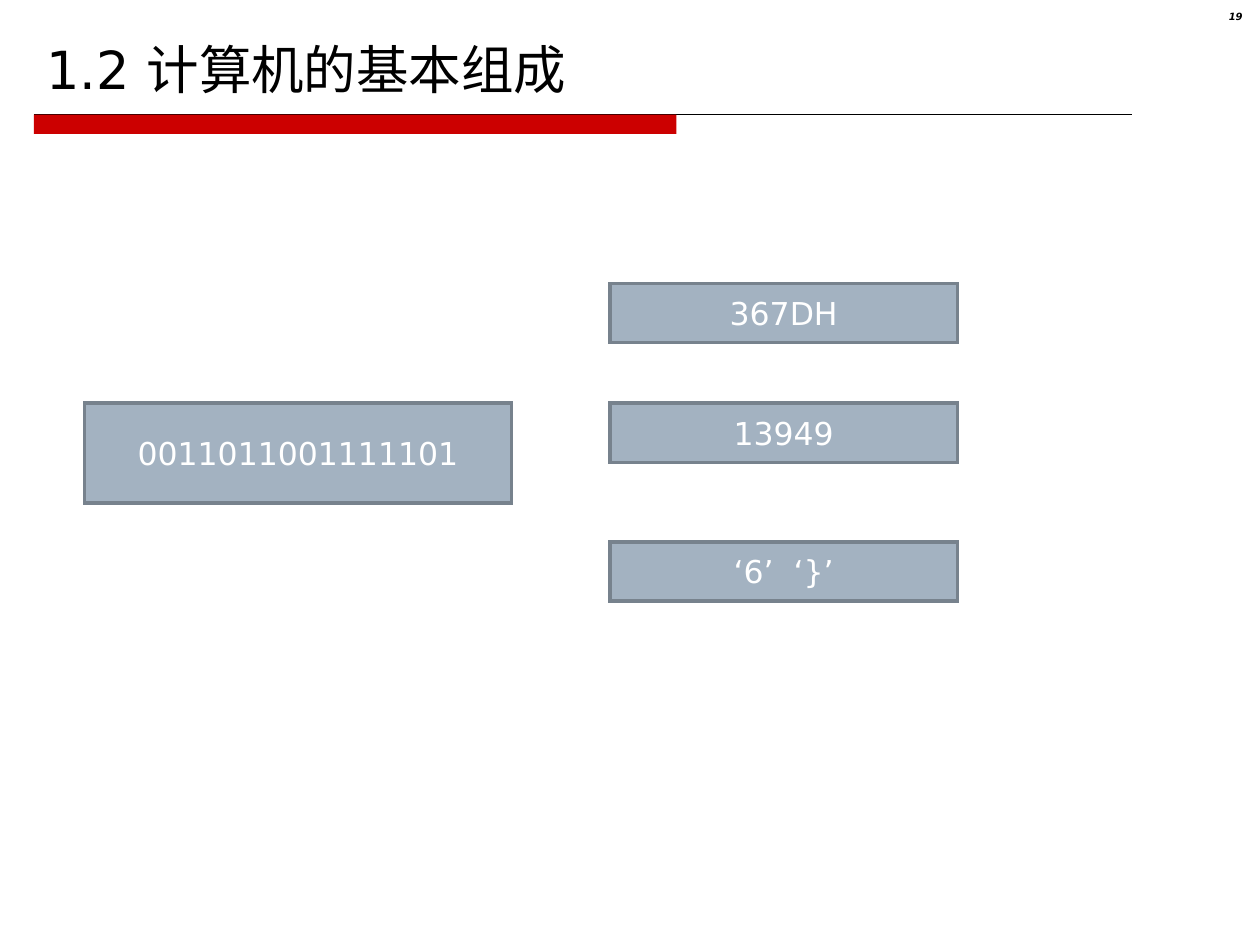
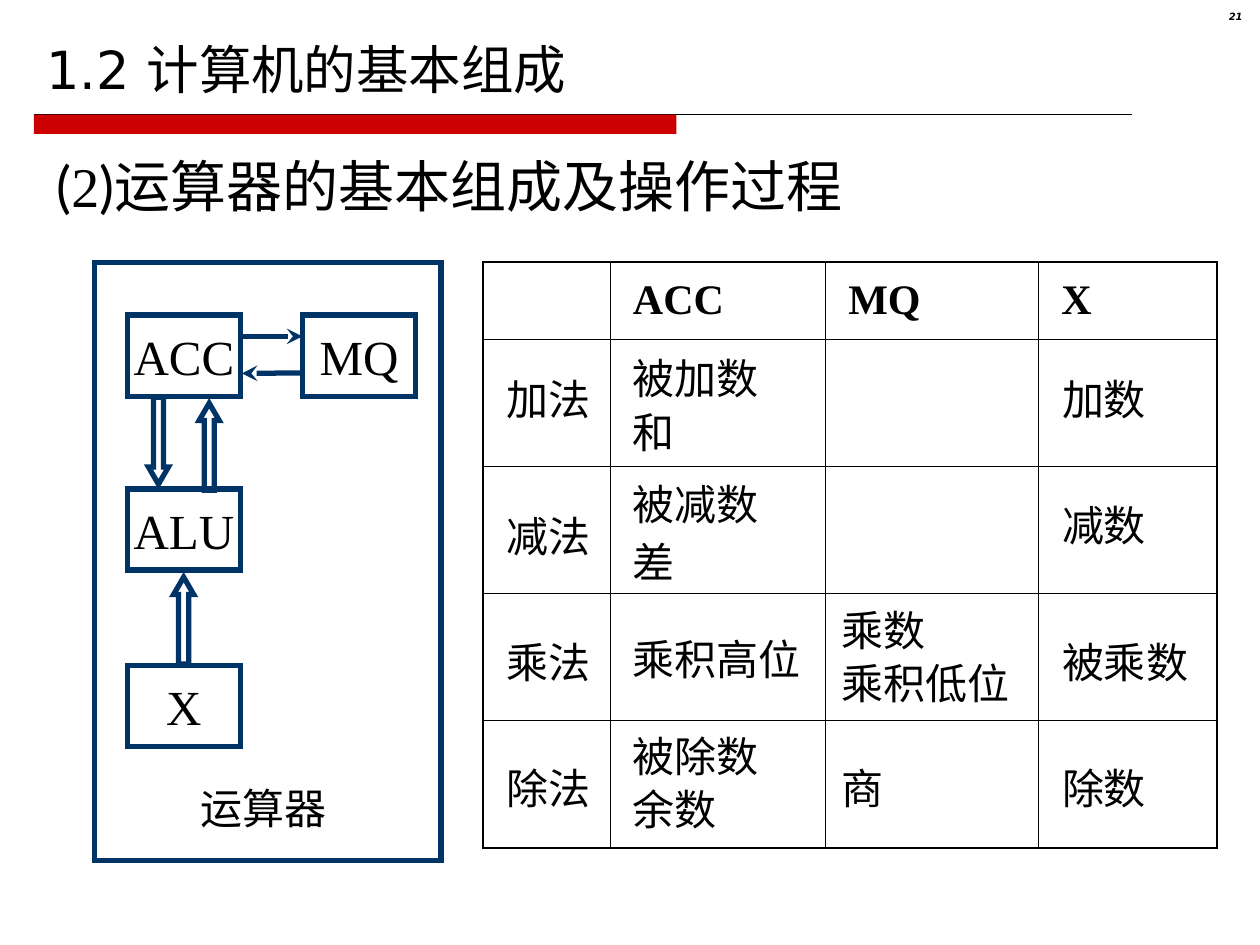
from lxml import etree
from pptx import Presentation
from pptx.dml.color import RGBColor
from pptx.enum.shapes import MSO_CONNECTOR, MSO_SHAPE
from pptx.enum.text import MSO_ANCHOR, PP_ALIGN
from pptx.oxml.ns import qn
from pptx.util import Pt

RECTANGLE = MSO_SHAPE.RECTANGLE
PROCESS = MSO_SHAPE.FLOWCHART_PROCESS
UP_ARROW = MSO_SHAPE.UP_ARROW
STRAIGHT = MSO_CONNECTOR.STRAIGHT
TOP, MIDDLE, BOTTOM = MSO_ANCHOR.TOP, MSO_ANCHOR.MIDDLE, MSO_ANCHOR.BOTTOM
LEFT, CENTER, RIGHT = PP_ALIGN.LEFT, PP_ALIGN.CENTER, PP_ALIGN.RIGHT

COLORS = {
    "text": "000000",
    "white": "FFFFFF",
    "band": "CC0000",
    "box": "A3B2C1",
    "box_line": "77828D",
    "diagram": "003366",
}
SANS, SERIF, LATO = "DejaVu Sans", "Times New Roman", "Lato"
TITLE = "1.2 计算机的基本组成"


def rgb(name):
    return RGBColor.from_string(COLORS[name])


class Deck:
    """Holds the presentation, its style and the current slide."""

    def __init__(self):
        self.presentation = Presentation()
        self.presentation.slide_width = Pt(720)
        self.presentation.slide_height = Pt(540)
        self.slide = None

    def new_slide(self, number):
        layout = self.presentation.slide_layouts[6]
        self.slide = self.presentation.slides.add_slide(layout)
        # Title band with its thin rule
        self.line(19.4, 65.5, 646.6, 65.5, "text", 0.75)
        self.shape(RECTANGLE, 19.4, 65.5, 367.2, 11.1, fill="band")
        self.text(TITLE, 19.4, 9.4, 680.4, 51.1, 30, SANS, anchor=BOTTOM)
        # Slide number
        paragraph = self.text(number, 674.6, 3.6, 42.5, 16.6, 5.7, SANS, align=RIGHT)
        paragraph.line_spacing = 0.8
        paragraph.runs[0].font.bold = paragraph.runs[0].font.italic = True

    def style_run(self, run, size, font, color="text"):
        run.font.size = Pt(size)
        run.font.name = font
        run.font.color.rgb = rgb(color)

    def fill_text(self, frame, text, size, font, color="text", align=LEFT, anchor=TOP):
        frame.text = text
        frame.vertical_anchor = anchor
        paragraph = frame.paragraphs[0]
        paragraph.alignment = align
        for run in paragraph.runs:
            self.style_run(run, size, font, color)
        return paragraph

    def text(self, text, left, top, width, height, size, font, align=LEFT, anchor=TOP):
        box = self.slide.shapes.add_textbox(Pt(left), Pt(top), Pt(width), Pt(height))
        box.text_frame.word_wrap = True
        return self.fill_text(box.text_frame, text, size, font, align=align, anchor=anchor)

    def shape(self, kind, left, top, width, height, fill=None, line=None, weight=3):
        shape = self.slide.shapes.add_shape(kind, Pt(left), Pt(top), Pt(width), Pt(height))
        shape.shadow.inherit = False
        if fill:
            shape.fill.solid()
            shape.fill.fore_color.rgb = rgb(fill)
        else:
            shape.fill.background()
        if line:
            shape.line.color.rgb = rgb(line)
            shape.line.width = Pt(weight)
            outline = shape._element.spPr.find(qn("a:ln"))
            etree.SubElement(outline, qn("a:miter"), lim="800000")
        else:
            shape.line.fill.background()
        return shape

    def value_box(self, text, left, top, width, height):
        shape = self.shape(PROCESS, left, top, width, height, "box", "box_line", 2)
        self.fill_text(shape.text_frame, text, 18, SANS, "white", CENTER, MIDDLE)

    def register(self, text, left, top):
        shape = self.shape(RECTANGLE, left, top, 64.8, 46.4, line="diagram")
        frame = shape.text_frame
        frame.margin_left = frame.margin_right = 0
        frame.margin_top = frame.margin_bottom = 0
        frame.word_wrap = False
        self.fill_text(frame, text, 28, SERIF, align=CENTER, anchor=MIDDLE)

    def block_arrow(self, left, top, rotation=0):
        arrow = self.shape(UP_ARROW, left, top, 11.5, 49.7, line="diagram")
        arrow.adjustments[0] = 0.5
        arrow.adjustments[1] = 0.86
        arrow.rotation = rotation

    def line(self, x1, y1, x2, y2, color, weight, head=False):
        connector = self.slide.shapes.add_connector(STRAIGHT, Pt(x1), Pt(y1), Pt(x2), Pt(y2))
        connector.line.color.rgb = rgb(color)
        connector.line.width = Pt(weight)
        properties = connector._element.spPr
        if head:
            etree.SubElement(properties.find(qn("a:ln")), qn("a:tailEnd"), type="stealth")
        etree.SubElement(properties, qn("a:effectLst"))

    def border(self, cell, side, weight):
        properties = cell._tc.get_or_add_tcPr()
        line = etree.SubElement(properties, qn(f"a:ln{side}"), w=str(Pt(weight)))
        fill = etree.SubElement(line, qn("a:solidFill"))
        etree.SubElement(fill, qn("a:srgbClr"), val=COLORS["text"])

    def table(self, left, top, widths, heights, headers):
        frame = self.slide.shapes.add_table(len(heights), len(widths), Pt(left), Pt(top),
                                            Pt(sum(widths)), Pt(sum(heights)))
        table = frame.table
        table.first_row = table.horz_banding = False
        for column, width in zip(table.columns, widths):
            column.width = Pt(width)
        last_row, last_column = len(heights) - 1, len(widths) - 1
        for r, height in enumerate(heights):
            table.rows[r].height = Pt(height)
            for c in range(len(widths)):
                cell = table.cell(r, c)
                outer = {"L": c == 0, "R": c == last_column, "T": r == 0, "B": r == last_row}
                for side, is_outer in outer.items():
                    self.border(cell, side, 1.08 if is_outer else 0.45)
                cell.fill.background()
        for c, header in enumerate(headers, 1):
            cell = table.cell(0, c)
            cell.margin_left = Pt(13.2)
            cell.vertical_anchor = MIDDLE
            paragraph = cell.text_frame.paragraphs[0]
            paragraph.text = header
            self.style_run(paragraph.runs[0], 24, SERIF)
            paragraph.runs[0].font.bold = True


def number_slide(deck):
    deck.new_slide("19")
    deck.value_box("0011011001111101", 48.2, 230.4, 244.1, 56.9)
    for text, top in (("367DH", 162), ("13949", 230.4), ("‘6’  ‘}’", 309.6)):
        deck.value_box(text, 348.5, top, 198.7, 33.8)


def arithmetic_unit_slide(deck):
    deck.new_slide("21")

    # Heading in mixed fonts
    paragraph = deck.text("(", 25.2, 82.8, 490.3, 46.1, 32, LATO)
    for text, font in (("2", SERIF), (")运算器的基本组成及操作过程", LATO)):
        run = paragraph.add_run()
        run.text = text
        deck.style_run(run, 32, font)

    # Diagram of the arithmetic unit
    deck.shape(RECTANGLE, 54, 149.8, 198, 342, line="diagram")
    for text, left, top in (("ACC", 72.7, 180), ("MQ", 172.8, 180),
                            ("ALU", 72.7, 279.4), ("X", 72.7, 380.2)):
        deck.register(text, left, top)
    deck.line(137.5, 192.2, 172.8, 192.2, "diagram", 3, head=True)
    deck.line(172.8, 213.1, 138.2, 213.4, "diagram", 3, head=True)
    deck.block_arrow(84.8, 227, rotation=180)
    deck.block_arrow(113.8, 230.4)
    deck.block_arrow(99.2, 329.8)
    deck.text("运算器", 107.3, 443.5, 90, 36, 24, LATO)

    # Grid of operations
    deck.table(275.8, 149.8, (72.7, 123.1, 121.7, 102.2), [43.9] + [72.7] * 4,
               ("ACC", "MQ", "X"))

    # Grid entries: left, width, then each text with its top
    entries = (
        (282.2, 84, (("加法", 210.2), ("减法", 288), ("乘法", 360), ("除法", 432))),
        (354.2, 144, (("被加数", 198), ("和", 229), ("被减数", 270), ("差", 303.1),
                      ("乘积高位", 358.6), ("被除数", 414), ("余数", 444.2))),
        (473.8, 144, (("乘数", 342), ("乘积低位", 372.2), ("商", 432))),
        (599.8, 108, (("加数", 210.2), ("减数", 282.2), ("被乘数", 360), ("除数", 432))),
    )
    for left, width, column in entries:
        for text, top in column:
            deck.text(text, left, top, width, 36, 24, SERIF)


def main():
    deck = Deck()
    number_slide(deck)
    arithmetic_unit_slide(deck)
    deck.presentation.save("out.pptx")


if __name__ == "__main__":
    main()
